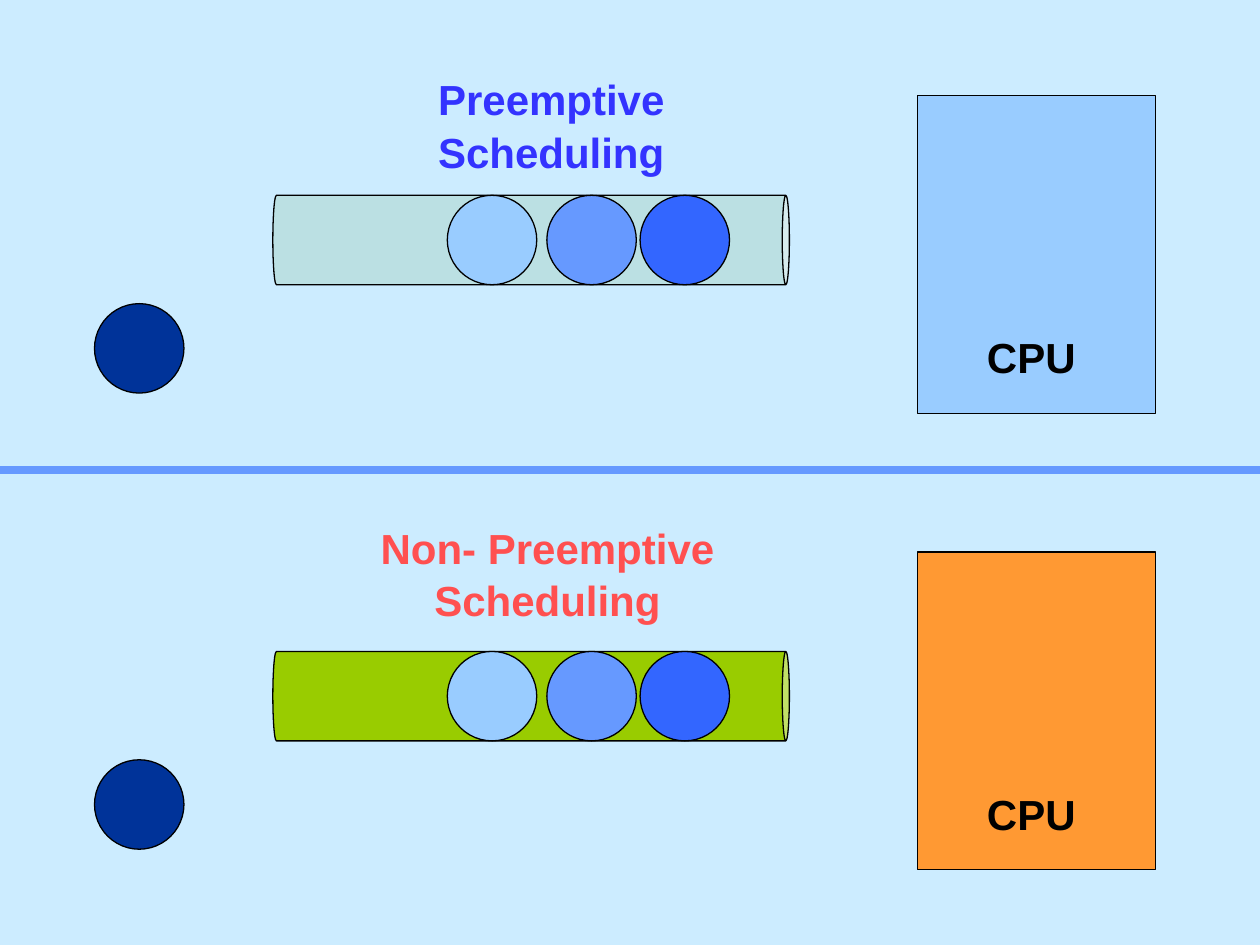
from lxml.etree import SubElement
from pptx import Presentation
from pptx.dml.color import RGBColor
from pptx.enum.shapes import MSO_CONNECTOR as Connector, MSO_SHAPE as Shape
from pptx.enum.text import MSO_ANCHOR as Anchor, MSO_AUTO_SIZE as AutoSize, PP_ALIGN as Align
from pptx.oxml.ns import qn
from pptx.util import Inches, Pt

# The slide is a grid of square cells
COLS, ROWS = 100, 75
CELL = Inches(10) // COLS
PANEL_STEP = 36.2
BALL = 7.1
QUEUE = [(35.5, "99CCFF"), (43.4, "6699FF"), (50.8, "3366FF")]


def cells(*counts):
    return [round(n * CELL) for n in counts]


def color(hex_code):
    return RGBColor.from_string(hex_code)


def add_shape(slide, kind, box, fill):
    s = slide.shapes.add_shape(kind, *cells(*box))
    s.shadow.inherit = False
    s.fill.solid()
    s.fill.fore_color.rgb = color(fill)
    s.line.color.rgb = color("000000")
    s.line.width = Pt(0.75)
    return s


def add_ball(slide, left, top, fill):
    add_shape(slide, Shape.OVAL, (left, top, BALL, BALL), fill)


def add_pipe(slide, top, fill):
    # An upright can, turned about its centre to lie on its side
    length = 41
    s = add_shape(slide, Shape.CAN,
                  (38.6, top + (BALL - length) / 2, BALL, length), fill)
    s.adjustments[0] = 0.08
    s.rotation = 90


def set_label(s, box, text, hex_code):
    s.left, s.top, s.width, s.height = cells(*box)
    tf = s.text_frame
    tf.word_wrap = True
    tf.auto_size = AutoSize.NONE
    tf.vertical_anchor = Anchor.TOP
    tf.text = text
    p = tf.paragraphs[0]
    p.alignment = Align.CENTER
    p.line_spacing = 1.04
    p.font.name = "Arial"
    p.font.size = Pt(24)
    p.font.bold = True
    p.font.color.rgb = color(hex_code)


def add_textbox(slide):
    return slide.shapes.add_textbox(0, 0, CELL, CELL)


def add_panel(slide, top, pipe_fill, cpu_fill):
    # CPU
    add_shape(slide, Shape.RECTANGLE, (72.8, top + 7.6, 18.9, 25.2), cpu_fill)
    set_label(add_textbox(slide), (73.6, top + 25.7, 16.5, 5), "CPU", "000000")
    # Queue of waiting processes and one new arrival
    add_pipe(slide, top + 15.5, pipe_fill)
    add_ball(slide, 7.5, top + 24.1, "003399")
    for left, fill in QUEUE:
        add_ball(slide, left, top + 15.5, fill)


def add_divider(slide, row):
    x, y = cells(COLS, row)
    line = slide.shapes.add_connector(Connector.STRAIGHT, x, y, 0, y)
    line.line.color.rgb = color("6699FF")
    line.line.width = Pt(4.5)
    SubElement(line._element.spPr, qn("a:effectLst"))


def main():
    prs = Presentation()
    prs.slide_width, prs.slide_height = cells(COLS, ROWS)
    slide = prs.slides.add_slide(prs.slide_layouts[5])
    slide.background.fill.solid()
    slide.background.fill.fore_color.rgb = color("CCECFF")

    # Panels
    add_panel(slide, 0, "BBE0E3", "99CCFF")
    add_panel(slide, PANEL_STEP, "99CC00", "FF9933")

    # Headings
    set_label(slide.shapes.title, (26.4, 5.2, 34.7, 9),
              "Preemptive Scheduling", "3333FF")
    set_label(add_textbox(slide), (21, 40.8, 44.9, 9),
              "Non- Preemptive Scheduling", "FF5050")

    add_divider(slide, 37.3)
    prs.save("out.pptx")


if __name__ == "__main__":
    main()
